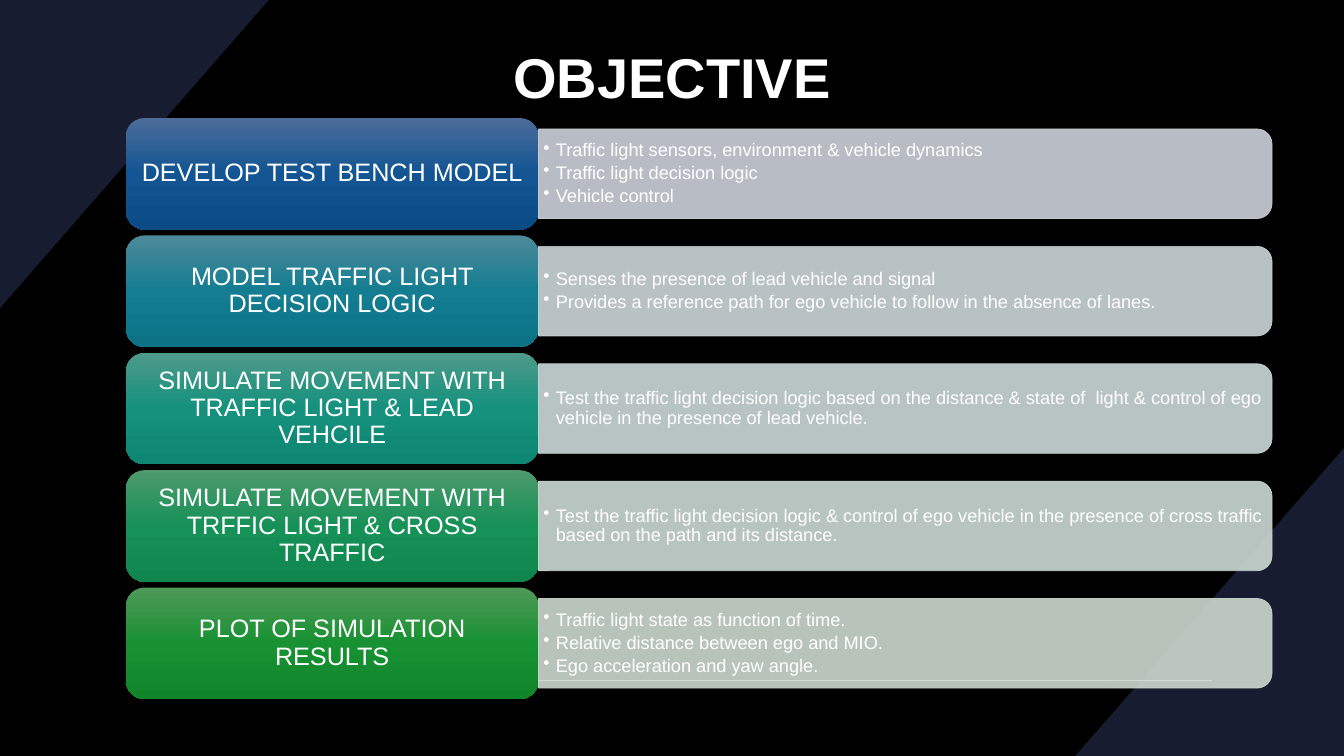
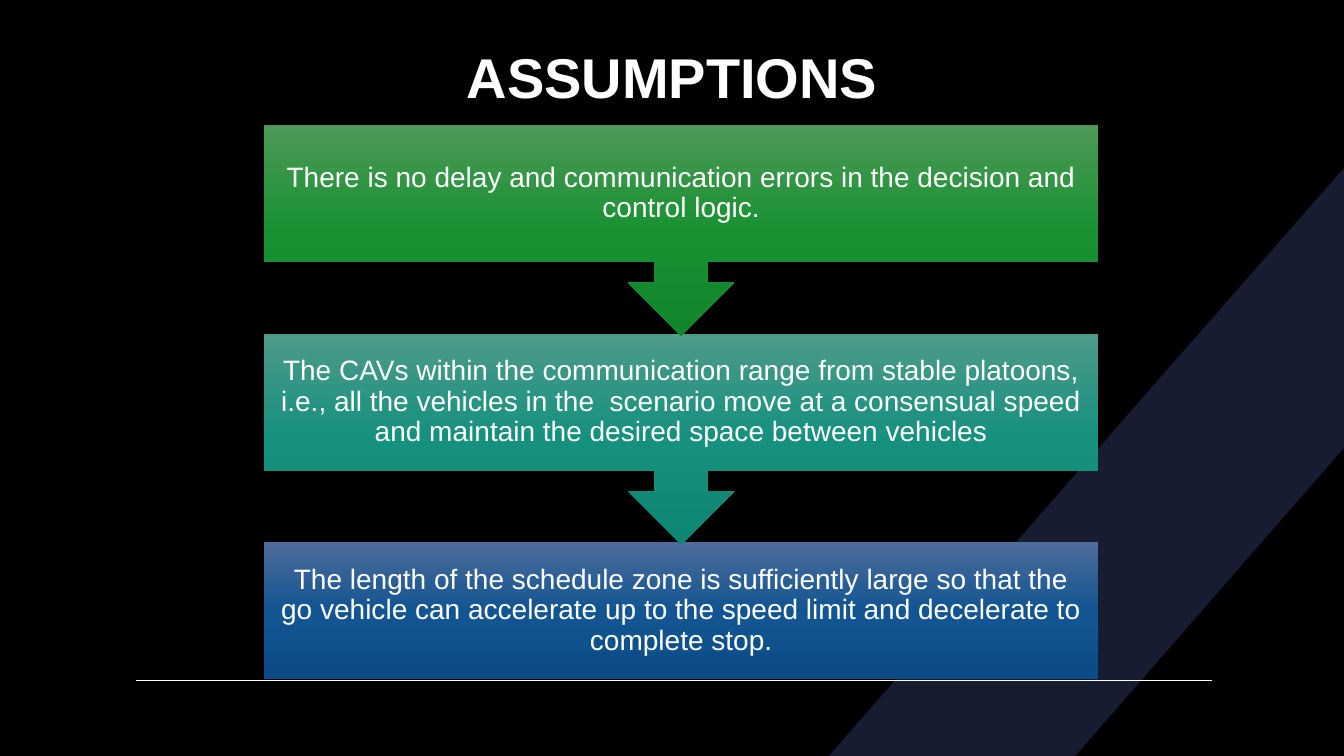
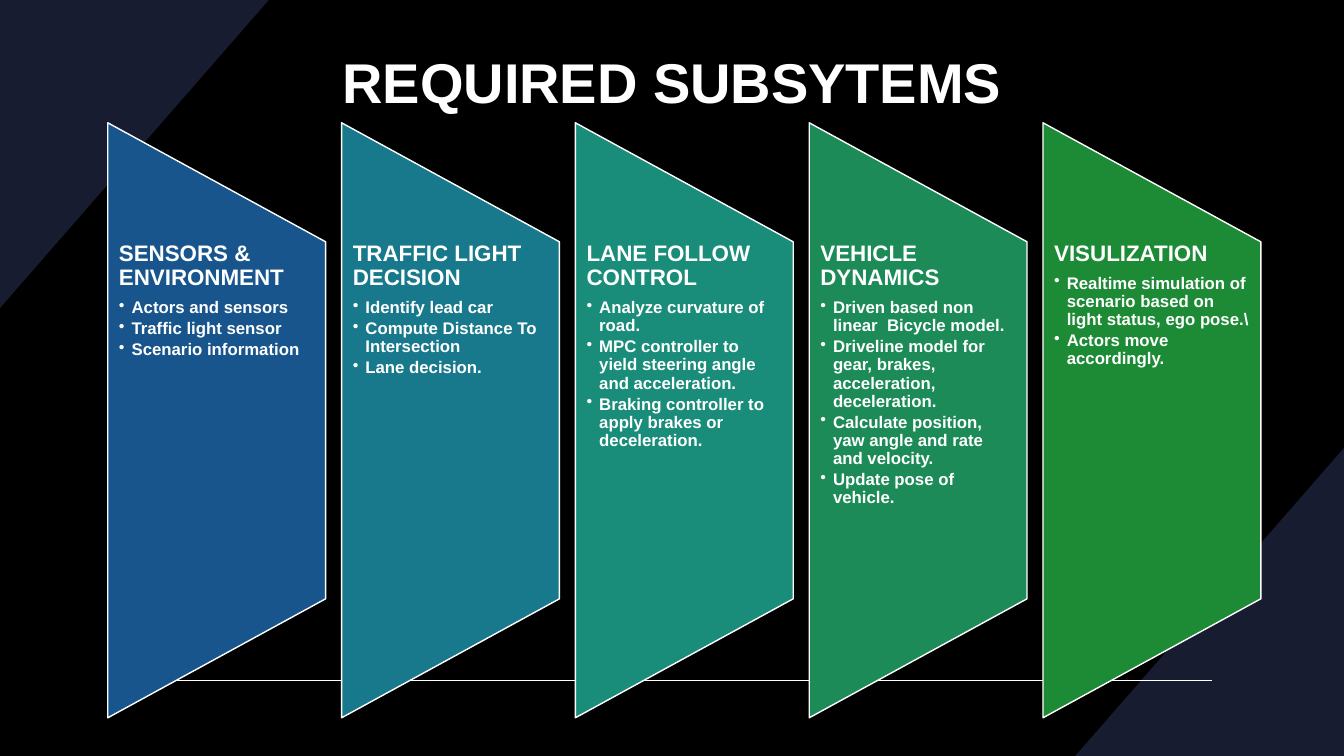
from copy import deepcopy
from dataclasses import dataclass

from pptx import Presentation
from pptx.dml.color import RGBColor
from pptx.enum import shapes as kinds, text as texts
from pptx.oxml import ns, xmlchemy
from pptx.util import Pt

SHAPE = kinds.MSO_SHAPE
ALIGN = texts.PP_ALIGN
ANCHOR = texts.MSO_ANCHOR


@dataclass(frozen=True)
class Theme:
    font: str = "Arial"
    back: str = "000000"
    wedge: str = "181C30"
    ink: str = "FFFFFF"
    title: float = 40
    step: float = 20
    label: float = 18
    heading: float = 16
    detail: float = 13
    point: float = 12
    line_spacing: float = 0.9
    label_gap: float = 0.35   # space after, as a share of the line height
    bullet_gap: float = 0.15
    bullet_indent: float = 9
    panel_opacity: float = 0.9


@dataclass(frozen=True)
class Hue:
    gradient: tuple
    panel: str
    solid: str


THEME = Theme()
BLUE = Hue(("4D6C9A", "125592", "0B4C87"), "CCD1DA", "18558C")
CYAN = Hue(("4D8A9A", "147D91", "0C7386"), "CDD6DA", "19798C")
TEAL = Hue(("4E9A8A", "15917E", "0D8673"), "CDDAD9", "1A8C7A")
EMERALD = Hue(("4E9A6E", "169157", "0F864E"), "CDDAD4", "1C8B57")
GREEN = Hue(("4E9958", "189132", "10852A"), "CDDACE", "1D8B35")

WIDTH, HEIGHT = 960, 540
CORNERS = [
    [(WIDTH, 320), (WIDTH, HEIGHT), (768, HEIGHT)],
    [(0, 0), (192, 0), (0, 220)],
]
BAND = [[(WIDTH, 120), (WIDTH, 320), (768, HEIGHT), (592, HEIGHT)]]

OBJECTIVES = [
    (BLUE, "DEVELOP TEST BENCH MODEL", [
        "Traffic light sensors, environment & vehicle dynamics",
        "Traffic light decision logic",
        "Vehicle control"]),
    (CYAN, "MODEL TRAFFIC LIGHT DECISION LOGIC", [
        "Senses the presence of lead vehicle and signal",
        "Provides a reference path for ego vehicle to follow in the absence of lanes."]),
    (TEAL, "SIMULATE MOVEMENT WITH TRAFFIC LIGHT & LEAD VEHCILE", [
        "Test the traffic light decision logic based on the distance & state of  light "
        "& control of ego vehicle in the presence of lead vehicle."]),
    (EMERALD, "SIMULATE MOVEMENT WITH TRFFIC LIGHT & CROSS TRAFFIC", [
        "Test the traffic light decision logic & control of ego vehicle in the presence "
        "of cross traffic based on the path and its distance."]),
    (GREEN, "PLOT OF SIMULATION RESULTS", [
        "Traffic light state as function of time.",
        "Relative distance between ego and MIO.",
        "Ego acceleration and yaw angle."]),
]

ASSUMPTIONS = [
    (GREEN, "There is no delay and communication errors in the decision and control logic."),
    (TEAL, "The CAVs within the communication range from stable platoons, i.e., all the "
           "vehicles in the  scenario move at a consensual speed and maintain the desired "
           "space between vehicles"),
    (BLUE, "The length of the schedule zone is sufficiently large so that the go vehicle can "
           "accelerate up to the speed limit and decelerate to complete stop."),
]

SUBSYSTEMS = [
    (BLUE, "SENSORS & ENVIRONMENT", [
        "Actors and sensors", "Traffic light sensor", "Scenario information"]),
    (CYAN, "TRAFFIC LIGHT DECISION", [
        "Identify lead car", "Compute Distance To Intersection", "Lane decision."]),
    (TEAL, "LANE FOLLOW CONTROL", [
        "Analyze curvature of road.",
        "MPC controller to yield steering angle and acceleration.",
        "Braking controller to apply brakes or deceleration."]),
    (EMERALD, "VEHICLE DYNAMICS", [
        "Driven based non linear  Bicycle model.",
        "Driveline model for gear, brakes, acceleration, deceleration.",
        "Calculate position, yaw angle and rate and velocity.",
        "Update pose of vehicle."]),
    (GREEN, "VISULIZATION", [
        "Realtime simulation of scenario based on light status, ego pose.\\",
        "Actors move accordingly."]),
]


def rgb(color):
    return RGBColor.from_string(color)


def add_child(parent, tag, **attributes):
    child = xmlchemy.OxmlElement(tag)
    for key, value in attributes.items():
        child.set(key, value)
    parent.append(child)


def add_preset(slide, preset, left, top, width, height):
    shape = slide.shapes.add_shape(preset, Pt(left), Pt(top), Pt(width), Pt(height))
    shape.shadow.inherit = False
    shape.line.fill.background()
    return shape


def add_turned(slide, preset, left, top, width, height, turn):
    """Place a preset that fills the given box once turned a quarter."""
    shape = add_preset(slide, preset, left + (width - height) / 2,
                       top + (height - width) / 2, height, width)
    shape.rotation = turn
    return shape


def add_box(slide, left, top, width, height):
    return slide.shapes.add_textbox(Pt(left), Pt(top), Pt(width), Pt(height))


def fill_solid(fill, color, opacity=1):
    fill.solid()
    fill.fore_color.rgb = rgb(color)


def set_opacity(shape, opacity):
    for color in shape._element.spPr.iter(ns.qn("a:srgbClr")):
        add_child(color, "a:alpha", val=str(round(opacity * 100000)))


def fill_gradient(shape, colors):
    shape.fill.gradient()
    shape.fill.gradient_angle = 270
    stops = shape._element.spPr.find(".//" + ns.qn("a:gsLst"))
    stops.insert(1, deepcopy(stops[0]))
    for stop, position, color in zip(shape.fill.gradient_stops, (0, 0.5, 1), colors):
        stop.position = position
        stop.color.rgb = rgb(color)


def write(shape, lines, inset, anchor=ANCHOR.MIDDLE, align=ALIGN.CENTER, bold=False):
    """Fill a shape with (text, size, bulleted) lines."""
    frame = shape.text_frame
    frame.word_wrap = True
    frame.vertical_anchor = anchor
    frame.margin_left = frame.margin_right = Pt(inset[0])
    frame.margin_top = frame.margin_bottom = Pt(inset[1])
    for index, (line, size, bulleted) in enumerate(lines):
        paragraph = frame.add_paragraph() if index else frame.paragraphs[0]
        paragraph.text = line
        paragraph.alignment = align
        paragraph.line_spacing = THEME.line_spacing
        gap = THEME.bullet_gap if bulleted else THEME.label_gap
        paragraph.space_after = Pt(round(size * 1.15 * gap, 1))
        font = paragraph.font
        font.name, font.size, font.bold = THEME.font, Pt(size), bold
        font.color.rgb = rgb(THEME.ink)
        if bulleted:
            properties = paragraph._p.get_or_add_pPr()
            properties.set("marL", str(Pt(THEME.bullet_indent)))
            properties.set("indent", str(-Pt(THEME.bullet_indent)))
            properties.insert_element_before(
                xmlchemy.OxmlElement("a:buChar"), "a:tabLst", "a:defRPr", "a:extLst")
            properties.find(ns.qn("a:buChar")).set("char", "•")


def bullets(points, size):
    return [(point, size, True) for point in points]


def start_slide(deck, title, title_middle, wedges):
    slide = deck.slides.add_slide(deck.slide_layouts[6])
    for first, *others in wedges:
        builder = slide.shapes.build_freeform(Pt(first[0]), Pt(first[1]))
        builder.add_line_segments([(Pt(x), Pt(y)) for x, y in others])
        wedge = builder.convert_to_shape()
        wedge.shadow.inherit = False
        wedge.line.fill.background()
        fill_solid(wedge.fill, THEME.wedge)
    rule = slide.shapes.add_connector(
        kinds.MSO_CONNECTOR.STRAIGHT, Pt(97), Pt(486), Pt(865.5), Pt(486))
    rule.line.color.rgb = rgb(THEME.ink)
    rule.line.width = Pt(1)
    add_child(rule._element.spPr, "a:effectLst")
    heading = add_box(slide, 0, title_middle - 30, WIDTH, 60)
    write(heading, [(title, THEME.title, False)], (7.2, 3.6), bold=True)
    heading.text_frame.paragraphs[0].line_spacing = 1.0
    heading.text_frame.paragraphs[0].space_after = Pt(0)
    return slide


def objective_slide(deck):
    slide = start_slide(deck, "OBJECTIVE", 54, CORNERS)
    left, first_top, pitch = 90, 84.3, 83.85
    label_width, label_height = 294.6, 79.7
    panel_left, panel_width, panel_height = left + label_width, 524, 64
    for row, (hue, label, details) in enumerate(OBJECTIVES):
        top = first_top + row * pitch
        panel_top = top + (label_height - panel_height) / 2
        panel = add_turned(slide, SHAPE.ROUND_2_SAME_RECTANGLE, panel_left, panel_top,
                           panel_width, panel_height, 90)
        fill_solid(panel.fill, hue.panel)
        fill_solid(panel.line.fill, hue.panel)
        panel.line.width = Pt(0.5)
        set_opacity(panel, THEME.panel_opacity)
        write(add_box(slide, panel_left, panel_top, panel_width - 3, panel_height),
              bullets(details, THEME.detail), (3.5, 2), align=ALIGN.LEFT)
        tile = add_preset(slide, SHAPE.ROUNDED_RECTANGLE, left, top, label_width, label_height)
        fill_gradient(tile, hue.gradient)
        write(tile, [(label, THEME.label, False)], (5, 2.7))


def assumptions_slide(deck):
    slide = start_slide(deck, "ASSUMPTIONS", 54, BAND)
    left, first_top, width, pitch = 188.6, 89.3, 596, 149
    box_height, callout_height = 98, 150.5
    last = len(ASSUMPTIONS) - 1
    # Bottom first, so that each arrow tip lies over the next box.
    for row, (hue, assumption) in reversed(list(enumerate(ASSUMPTIONS))):
        preset, height = ((SHAPE.RECTANGLE, box_height) if row == last
                          else (SHAPE.DOWN_ARROW_CALLOUT, callout_height))
        step = add_preset(slide, preset, left, first_top + row * pitch, width, height)
        fill_gradient(step, hue.gradient)
        write(step, [(assumption, THEME.step, False)], (11.25, 11.25))


def subsystems_slide(deck):
    slide = start_slide(deck, "REQUIRED SUBSYTEMS", 58, CORNERS)
    first_left, top, width, height, pitch = 77, 87.7, 155.6, 425, 167
    for column, (hue, heading, points) in enumerate(SUBSYSTEMS):
        left = first_left + column * pitch
        blade = add_turned(slide, SHAPE.FLOWCHART_MANUAL_OPERATION, left, top,
                           width, height, 270)
        fill_solid(blade.fill, hue.solid)
        fill_solid(blade.line.fill, THEME.ink)
        blade.line.width = Pt(1)
        write(add_box(slide, left, top + height / 5, width, height * 3 / 5),
              [(heading, THEME.heading, False)] + bullets(points, THEME.point),
              (8, 0), ANCHOR.TOP, ALIGN.LEFT, bold=True)


def main():
    deck = Presentation()
    deck.slide_width, deck.slide_height = Pt(WIDTH), Pt(HEIGHT)
    fill_solid(deck.slide_master.background.fill, THEME.back)
    objective_slide(deck)
    assumptions_slide(deck)
    subsystems_slide(deck)
    deck.save("out.pptx")


if __name__ == "__main__":
    main()
